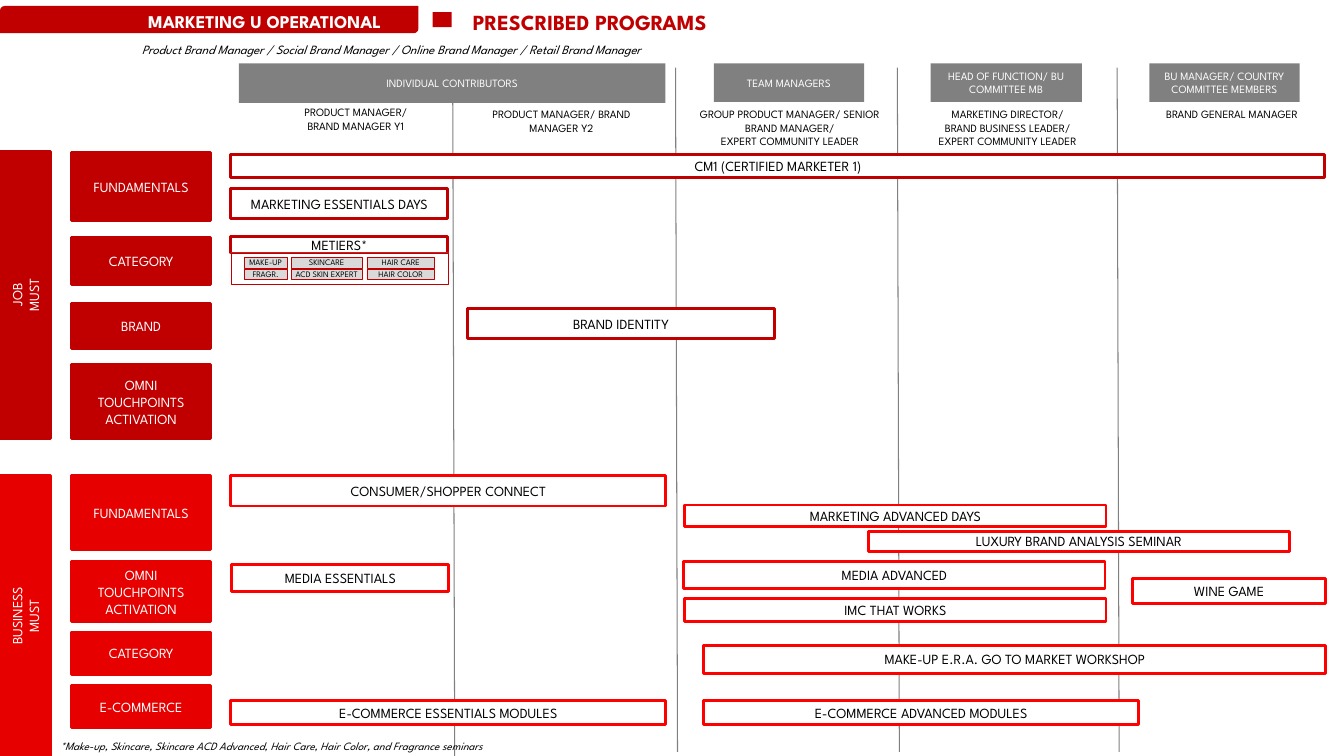
import lxml.etree
import pptx
import pptx.dml.color
import pptx.enum.shapes
import pptx.enum.text
import pptx.oxml.ns
import pptx.util

Inches = pptx.util.Inches
Pt = pptx.util.Pt
Align = pptx.enum.text.PP_ALIGN
Anchor = pptx.enum.text.MSO_ANCHOR
Preset = pptx.enum.shapes.MSO_SHAPE

COLORS = {
    "job": "C00000",
    "business": "E60000",
    "outline": "FF0000",
    "gray": "808080",
    "chip": "D9D9D9",
    "white": "FFFFFF",
    "black": "000000",
}


class ProgramSlide:
    font_name = "League Spartan"

    def __init__(self, presentation):
        self.slide = presentation.slides.add_slide(presentation.slide_layouts[5])

    def color(self, name):
        return pptx.dml.color.RGBColor.from_string(COLORS[name])

    def fill_text(self, frame, lines, size, color, align, anchor, bold=False, italic=False):
        frame.word_wrap = True
        frame.auto_size = pptx.enum.text.MSO_AUTO_SIZE.NONE
        frame.vertical_anchor = anchor
        for index, line in enumerate(lines):
            paragraph = frame.add_paragraph() if index else frame.paragraphs[0]
            paragraph.alignment = align
            run = paragraph.add_run()
            run.text = line
            run.font.name = self.font_name
            run.font.size = Pt(size)
            run.font.bold = bold
            run.font.italic = italic
            run.font.color.rgb = self.color(color)

    def title(self, place, text, size, color):
        shape = self.slide.shapes.title
        shape.left, shape.top, shape.width, shape.height = map(Inches, place)
        self.fill_text(shape.text_frame, [text], size, color, Align.LEFT, Anchor.TOP, bold=True)

    def text(self, place, lines, size=8, color="black", align=Align.CENTER, **style):
        shape = self.slide.shapes.add_textbox(*map(Inches, place))
        self.fill_text(shape.text_frame, lines, size, color, align, Anchor.TOP, **style)

    def box(self, place, lines=(), fill=None, line=None, width=2, size=10,
            color="black", preset=Preset.RECTANGLE):
        shape = self.slide.shapes.add_shape(preset, *map(Inches, place))
        shape.shadow.inherit = False
        if fill:
            shape.fill.solid()
            shape.fill.fore_color.rgb = self.color(fill)
        else:
            shape.fill.background()
        if line:
            shape.line.color.rgb = self.color(line)
            shape.line.width = Pt(width)
        else:
            shape.line.fill.background()
        self.fill_text(shape.text_frame, lines, size, color, Align.CENTER, Anchor.MIDDLE)
        return shape

    def label(self, place, lines, fill):
        return self.box(place, lines, fill, fill, color="white")

    def banner(self, place, lines, fill):
        shape = self.label(place, lines, fill)
        shape.element.txBody.bodyPr.set("vert", "vert270")

    def chip(self, place, text):
        shape = self.box(place, [text], "chip", "job", width=0.25, size=6)
        shape.text_frame.margin_left = shape.text_frame.margin_right = 0

    def divider(self, left, top, bottom):
        connector = self.slide.shapes.add_connector(
            pptx.enum.shapes.MSO_CONNECTOR.STRAIGHT,
            *map(Inches, (left, top, left + 0.02, bottom)))
        connector.line.color.rgb = self.color("gray")
        connector.line.width = Pt(0.75)
        lxml.etree.SubElement(connector.element.spPr, pptx.oxml.ns.qn("a:effectLst"))


def main():
    presentation = pptx.Presentation()
    presentation.slide_width = Inches(13.33)
    presentation.slide_height = Inches(7.5)
    page = ProgramSlide(presentation)

    page.title((4.59, 0.04, 5.46, 0.36), "PRESCRIBED PROGRAMS", 15.4, "job")
    page.box((0, 0.06, 4.15, 0.27), fill="job", preset=Preset.ROUND_2_DIAG_RECTANGLE)
    page.box((4.29, 0.12, 0.19, 0.15), fill="job")
    page.text((1.37, 0.06, 3.38, 0.32), ["MARKETING U OPERATIONAL"], 12.8, "white",
              Align.LEFT, bold=True)
    page.text((1.31, 0.37, 7.07, 0.25),
              ["Product Brand Manager / Social Brand Manager / "
               "Online Brand Manager / Retail Brand Manager"],
              9, align=Align.LEFT, italic=True)

    for left, top, bottom in [(4.49, 0.77, 7.5), (6.7, 0.67, 7.46),
                              (8.9, 0.67, 7.46), (11.08, 0.67, 7.46)]:
        page.divider(left, top, bottom)

    for left, width, height, text in [
        (2.37, 4.23, 0.39, "INDIVIDUAL CONTRIBUTORS"),
        (7.08, 1.49, 0.38, "TEAM MANAGERS"),
        (9.23, 1.5, 0.38, "HEAD OF FUNCTION/ BU COMMITTEE MB"),
        (11.4, 1.49, 0.38, "BU MANAGER/ COUNTRY COMMITTEE MEMBERS"),
    ]:
        page.box((left, 0.63, width, height), [text], "gray", size=8, color="white")

    for place, lines in [
        ((2.43, 1, 2.2, 0.37), ["PRODUCT MANAGER/", "BRAND MANAGER Y1"]),
        ((4.75, 1.02, 1.64, 0.37), ["PRODUCT MANAGER/ BRAND MANAGER Y2"]),
        ((6.79, 1.02, 2.09, 0.5),
         ["GROUP PRODUCT MANAGER/ SENIOR BRAND MANAGER/", "EXPERT COMMUNITY LEADER"]),
        ((8.9, 1.02, 2.19, 0.5),
         ["MARKETING DIRECTOR/", "BRAND BUSINESS LEADER/", "EXPERT COMMUNITY LEADER"]),
        ((11.1, 1.02, 2.24, 0.24), ["BRAND GENERAL MANAGER"]),
    ]:
        page.text(place, lines)

    page.banner((0, 1.5, 0.5, 2.85), ["JOB", "MUST"], "job")
    page.banner((0, 4.72, 0.5, 2.78), ["BUSINESS", "MUST"], "business")

    for top, height, text, fill in [
        (1.51, 0.68, "FUNDAMENTALS", "job"),
        (2.36, 0.46, "CATEGORY", "job"),
        (3.01, 0.45, "BRAND", "job"),
        (3.62, 0.73, "OMNI TOUCHPOINTS ACTIVATION", "job"),
        (4.72, 0.73, "FUNDAMENTALS", "business"),
        (5.57, 0.6, "OMNI TOUCHPOINTS ACTIVATION", "business"),
        (6.27, 0.42, "CATEGORY", "business"),
        (6.8, 0.42, "E-COMMERCE", "business"),
    ]:
        page.label((0.71, top, 1.38, height), [text], fill)

    for place, text, fill, line in [
        ((2.29, 1.53, 10.85, 0.23), "CM1 (CERTIFIED MARKETER 1)", "white", "job"),
        ((2.29, 1.87, 2.15, 0.3), "MARKETING ESSENTIALS DAYS", None, "job"),
        ((2.29, 2.35, 2.15, 0.16), "METIERS*", None, "job"),
        ((4.64, 3.06, 3.04, 0.3), "BRAND IDENTITY", "white", "job"),
        ((2.29, 4.72, 4.31, 0.3), "CONSUMER/SHOPPER CONNECT", "white", "outline"),
        ((6.79, 5.01, 4.18, 0.21), "MARKETING ADVANCED DAYS", "white", "outline"),
        ((8.61, 5.27, 4.18, 0.2), "LUXURY BRAND ANALYSIS SEMINAR", "white", "outline"),
        ((2.3, 5.6, 2.15, 0.27), "MEDIA ESSENTIALS", "white", "outline"),
        ((6.78, 5.57, 4.18, 0.27), "MEDIA ADVANCED", "white", "outline"),
        ((11.23, 5.74, 1.92, 0.25), "WINE GAME", "white", "outline"),
        ((6.79, 5.94, 4.18, 0.23), "IMC THAT WORKS", "white", "outline"),
        ((6.98, 6.4, 6.17, 0.28), "MAKE-UP E.R.A. GO TO MARKET WORKSHOP", "white", "outline"),
        ((2.29, 6.95, 4.31, 0.24), "E-COMMERCE ESSENTIALS MODULES", "white", "outline"),
        ((6.98, 6.95, 4.31, 0.24), "E-COMMERCE ADVANCED MODULES", "white", "outline"),
    ]:
        page.box(place, [text], fill, line)

    page.box((2.29, 2.51, 2.16, 0.31), fill="white", line="job", width=0.25)
    for left, width, upper, lower in [
        (2.42, 0.43, "MAKE-UP", "FRAGR."),
        (2.89, 0.7, "SKINCARE", "ACD SKIN EXPERT"),
        (3.64, 0.67, "HAIR CARE", "HAIR COLOR"),
    ]:
        page.chip((left, 2.55, width, 0.11), upper)
        page.chip((left, 2.67, width, 0.1), lower)

    page.text((0.5, 7.29, 7.07, 0.24),
              ["*Make-up, Skincare, Skincare ACD Advanced, Hair Care, "
               "Hair Color, and Fragrance seminars"],
              align=Align.LEFT, italic=True)

    presentation.save("out.pptx")


if __name__ == "__main__":
    main()
